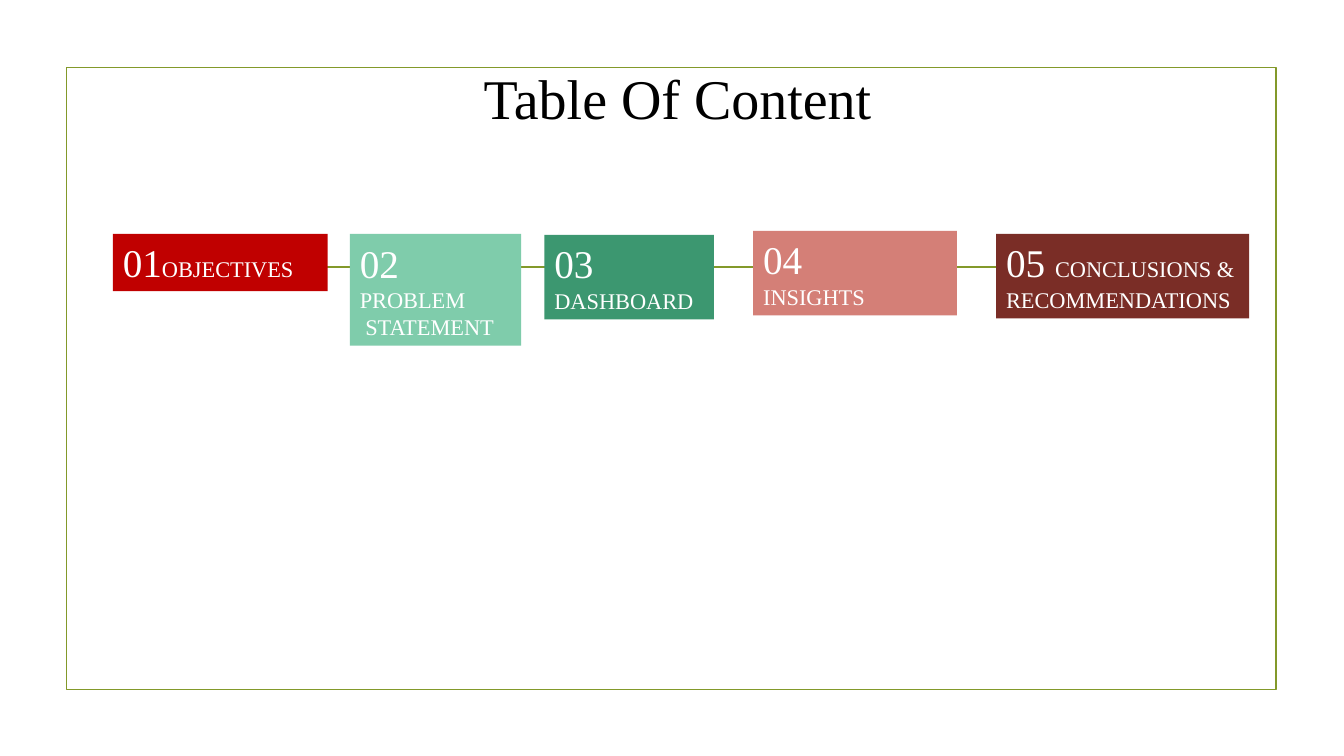
from pptx import Presentation
from pptx.dml.color import RGBColor
from pptx.enum.shapes import MSO_CONNECTOR, MSO_SHAPE
from pptx.enum.text import MSO_ANCHOR, PP_ALIGN
from pptx.oxml.ns import qn
from pptx.util import Inches, Pt
from lxml import etree

RECTANGLE = MSO_SHAPE.RECTANGLE
STRAIGHT = MSO_CONNECTOR.STRAIGHT
LEFT, CENTER = PP_ALIGN.LEFT, PP_ALIGN.CENTER
TOP, MIDDLE = MSO_ANCHOR.TOP, MSO_ANCHOR.MIDDLE

FONT = "Times New Roman"
COLORS = {
    "olive": "83992A",
    "black": "000000",
    "white": "FFFFFF",
    "red": "C00000",
    "mint": "7FCCAB",
    "green": "3C9770",
    "rose": "D47F77",
    "maroon": "7A2D26",
}
NUMBER_SIZE, LABEL_SIZE = 28, 16

SECTIONS = [
    ((1.12, 2.32, 2.13, 0.57), "red", TOP, [["01", "OBJECTIVES"]]),
    ((3.47, 2.32, 1.7, 1.11), "mint", MIDDLE, [["02"], ["", "PROBLEM\n STATEMENT"]]),
    ((5.4, 2.33, 1.68, 0.84), "green", TOP, [["03\n", "DASHBOARD"]]),
    ((7.47, 2.29, 2.02, 0.84), "rose", TOP, [["04\n", "INSIGHTS"]]),
    ((9.88, 2.32, 2.51, 0.84), "maroon", TOP, [["05 ", "CONCLUSIONS &\nRECOMMENDATIONS"]]),
]


def color(name):
    return RGBColor.from_string(COLORS[name])


def add_text(paragraph, text, size=LABEL_SIZE, fill="white", align=LEFT):
    paragraph.alignment = align
    for index, line in enumerate(text.split("\n")):
        if index:
            paragraph.add_line_break()
        if line:
            run = paragraph.add_run()
            run.text = line
            run.font.name = FONT
            run.font.size = Pt(size)
            run.font.color.rgb = color(fill)


def add_box(slide, box):
    shape = slide.shapes.add_shape(RECTANGLE, *map(Inches, box))
    shape.shadow.inherit = False
    return shape


def add_frame(slide, box):
    frame = add_box(slide, box)
    frame.fill.background()
    frame.line.color.rgb = color("olive")
    frame.line.width = Pt(1.25)


def add_timeline(slide, left, top, width):
    line = slide.shapes.add_connector(
        STRAIGHT, Inches(left), Inches(top), Inches(left + width), Inches(top))
    line.line.color.rgb = color("olive")
    line.line.width = Pt(1.25)
    etree.SubElement(line._element.spPr, qn("a:effectLst"))


def add_title(slide, box):
    title = slide.shapes.add_textbox(*map(Inches, box))
    title.text_frame.word_wrap = True
    add_text(title.text_frame.paragraphs[0], "Table Of Content",
             size=40, fill="black", align=CENTER)


def add_section(slide, box, fill, anchor, paragraphs):
    shape = add_box(slide, box)
    shape.fill.solid()
    shape.fill.fore_color.rgb = color(fill)
    shape.line.fill.background()
    frame = shape.text_frame
    frame.word_wrap = True
    frame.vertical_anchor = anchor
    for index, parts in enumerate(paragraphs):
        paragraph = frame.add_paragraph() if index else frame.paragraphs[0]
        for text, size in zip(parts, (NUMBER_SIZE, LABEL_SIZE)):
            add_text(paragraph, text, size=size)


def main():
    presentation = Presentation()
    presentation.slide_width = Inches(13.33)
    presentation.slide_height = Inches(7.5)
    slide = presentation.slides.add_slide(presentation.slide_layouts[6])
    add_frame(slide, (0.66, 0.67, 12, 6.17))
    add_timeline(slide, 1.53, 2.65, 10.28)
    add_title(slide, (2.91, 0.58, 7.62, 0.77))
    for section in SECTIONS:
        add_section(slide, *section)
    presentation.save("out.pptx")


if __name__ == "__main__":
    main()
